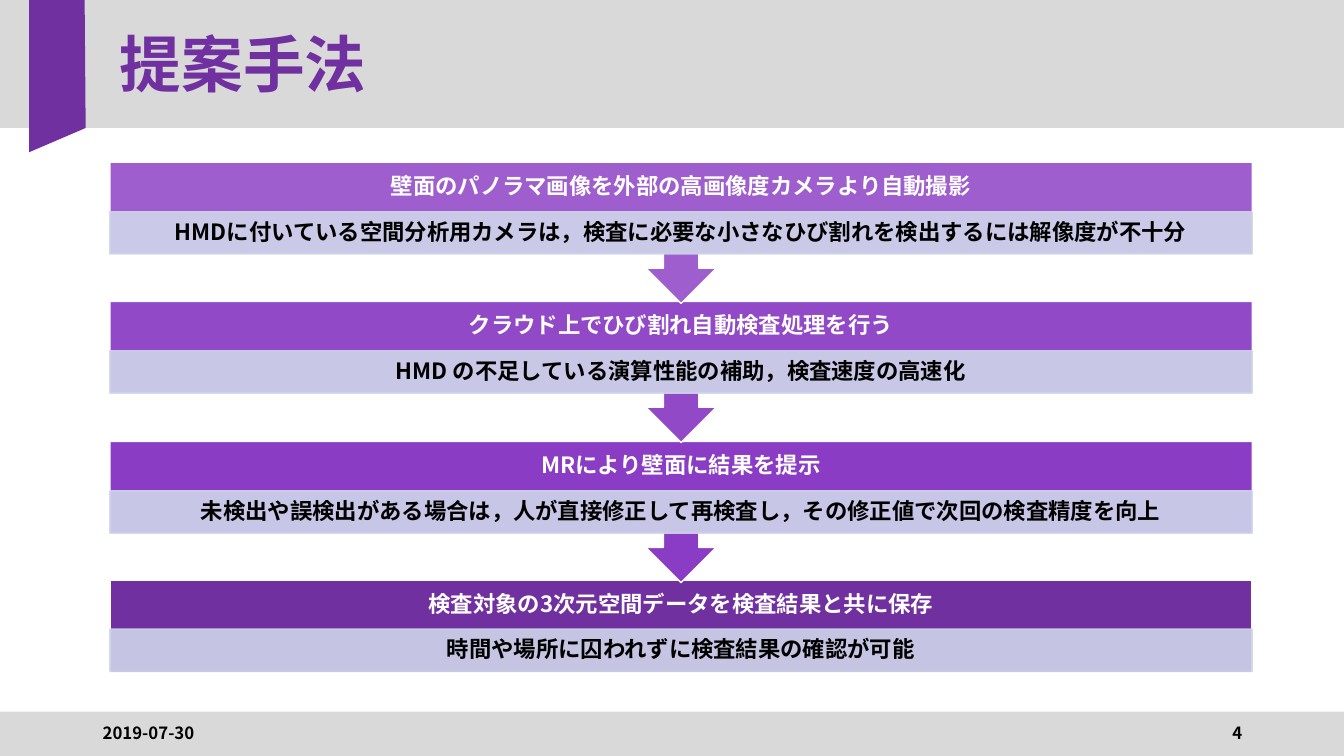
import pptx
import pptx.util
import pptx.dml.color
import pptx.enum.shapes
import pptx.enum.text
import pptx.oxml.ns
from lxml import etree

PX = 9144  # 100 px to the inch
SLIDE_W, SLIDE_H = 1333, 750
JP, KR = "Noto Sans CJK JP", "Noto Sans CJK KR"
PURPLE, GREY, PALE, WHITE, BLACK = "7030A0", "D9D9D9", "CFD5EA", "FFFFFF", "000000"
SHAPE = pptx.enum.shapes.MSO_SHAPE
ALIGN = pptx.enum.text.PP_ALIGN

STEPS = [
    ("9E5ECE", "壁面のパノラマ画像を外部の高画像度カメラより自動撮影",
     "HMDに付いている空間分析用カメラは，検査に必要な小さなひび割れを検出するには解像度が不十分"),
    ("9149C7", "クラウド上でひび割れ自動検査処理を行う",
     "HMD の不足している演算性能の補助，検査速度の高速化"),
    ("8A3CC4", "MRにより壁面に結果を提示",
     "未検出や誤検出がある場合は，人が直接修正して再検査し，その修正値で次回の検査精度を向上"),
    (PURPLE, "検査対象の3次元空間データを検査結果と共に保存",
     "時間や場所に囚われずに検査結果の確認が可能"),
]


def px(*lengths):
    return [pptx.util.Emu(round(length * PX)) for length in lengths]


def rgb(code):
    return pptx.dml.color.RGBColor.from_string(code)


def paint(shape, fill, line=None, alpha=None):
    shape.shadow.inherit = False
    shape.fill.solid()
    shape.fill.fore_color.rgb = rgb(fill)
    if line:
        shape.line.color.rgb = rgb(line)
        shape.line.width = pptx.util.Pt(1)
    else:
        shape.line.fill.background()
    if alpha:
        for colour in shape.element.spPr.iter(pptx.oxml.ns.qn("a:srgbClr")):
            etree.SubElement(colour, pptx.oxml.ns.qn("a:alpha"), val=str(alpha * 1000))


def add_block(slide, kind, box, fill, line=None, alpha=None):
    block = slide.shapes.add_shape(kind, *px(*box))
    paint(block, fill, line, alpha)
    return block


def write(shape, text, size=16, font=KR, colour=BLACK, align=ALIGN.CENTER,
          spacing=0.9, insets=(10, 5)):
    frame = shape.text_frame
    frame.word_wrap = True
    frame.auto_size = pptx.enum.text.MSO_AUTO_SIZE.NONE
    frame.vertical_anchor = pptx.enum.text.MSO_ANCHOR.MIDDLE
    frame.margin_left = frame.margin_right = px(insets[0])[0]
    frame.margin_top = frame.margin_bottom = px(insets[1])[0]
    paragraph = frame.paragraphs[0]
    paragraph.alignment = align
    paragraph.line_spacing = spacing
    run = paragraph.add_run()
    run.text = text
    run.font.size = pptx.util.Pt(size)
    run.font.bold = True
    run.font.color.rgb = rgb(colour)
    run.font.name = font
    # East Asian glyphs take their own typeface
    etree.SubElement(run._r.get_or_add_rPr(), pptx.oxml.ns.qn("a:ea"), typeface=font)


def add_header(slide, box, heading):
    x, y, w, h = box
    add_block(slide, SHAPE.RECTANGLE, box, GREY)

    # Ribbon with a slanted end
    ribbon = slide.shapes.build_freeform(x + 29, y + h + 24, scale=PX)
    ribbon.add_line_segments([(x + 85, y + h), (x + 84, y), (x + 29, y)], close=True)
    paint(ribbon.convert_to_shape(), PURPLE)

    # Title, brought in front of the band
    title = slide.shapes.title
    title.left, title.top, title.width, title.height = px(x + 109, y + 12, 1115, 111)
    write(title, heading, size=44, font=JP, colour=PURPLE, align=ALIGN.LEFT)
    title.element.getparent().append(title.element)


def add_step(slide, box, step, last):
    x, y, w, h = box
    fill, heading, detail = step
    kind = SHAPE.RECTANGLE if last else SHAPE.UP_ARROW_CALLOUT
    card = add_block(slide, kind, box, fill, WHITE)
    if not last:
        card.rotation = 180
    heading_h = 48 if last else 49
    heading_box = slide.shapes.add_textbox(*px(x, y, w, heading_h))
    write(heading_box, heading, colour=WHITE, insets=(12, 12))
    detail_bar = add_block(slide, SHAPE.RECTANGLE, (x, y + heading_h, w, 42),
                           PALE, PALE, alpha=90)
    write(detail_bar, detail, insets=(12, 2))


def add_process(slide, box):
    x, y, w, h = box
    card_h, last_h = 140, 91
    pitch = (h - last_h) / (len(STEPS) - 1)
    # Later steps lie behind earlier ones
    for i, step in reversed(list(enumerate(STEPS))):
        last = i == len(STEPS) - 1
        add_step(slide, (x, round(y + i * pitch), w, last_h if last else card_h),
                 step, last)


def add_footer(slide, box, date, page):
    x, y, w, h = box
    add_block(slide, SHAPE.RECTANGLE, box, GREY)
    for left, text, align in ((92, date, ALIGN.LEFT), (942, page, ALIGN.RIGHT)):
        label = slide.shapes.add_textbox(*px(x + left, y + 1, 300, 40))
        write(label, text, size=12, font=JP, align=align, spacing=1.0)


def main():
    deck = pptx.Presentation()
    deck.slide_width, deck.slide_height = px(SLIDE_W, SLIDE_H)
    slide = deck.slides.add_slide(deck.slide_layouts[5])
    add_header(slide, (0, 0, SLIDE_W, 127), "提案手法")
    add_process(slide, (109, 161, 1133, 506))
    add_footer(slide, (0, 706, SLIDE_W, 44), "2019-07-30", "4")
    deck.save("out.pptx")


if __name__ == "__main__":
    main()
